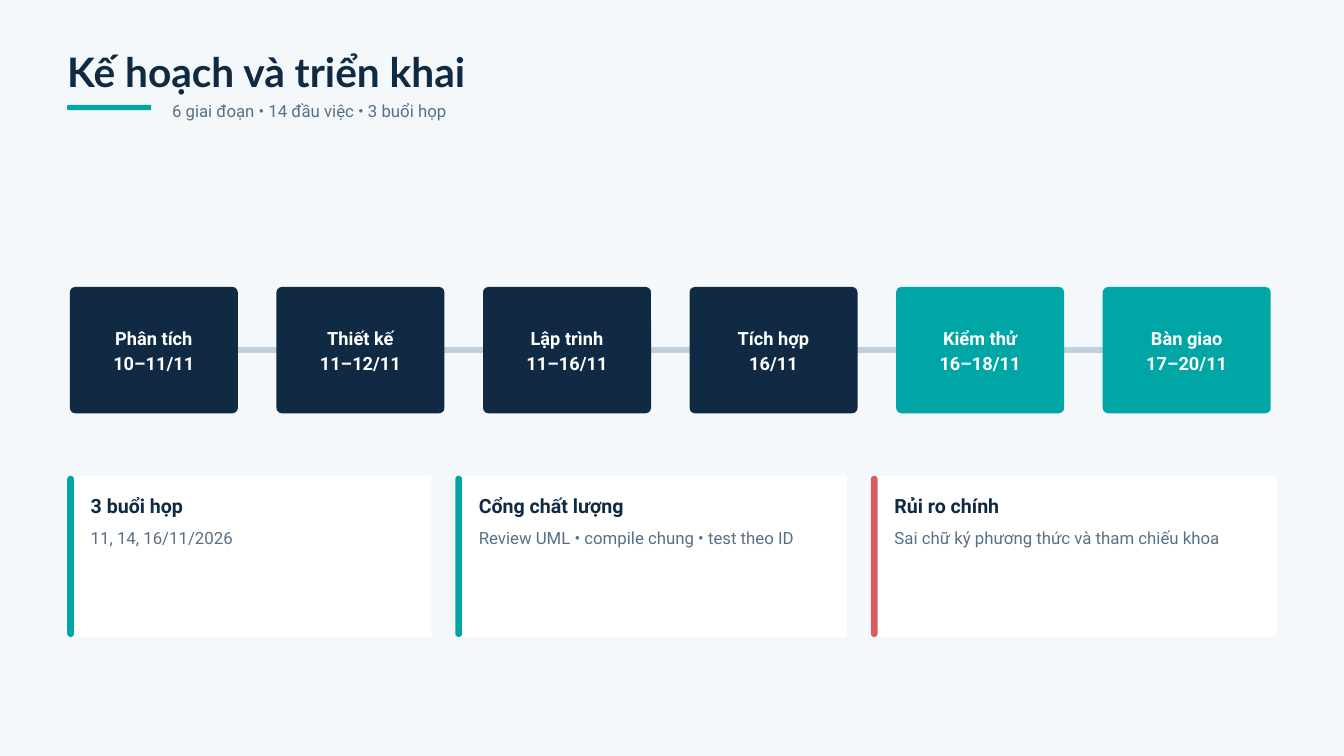
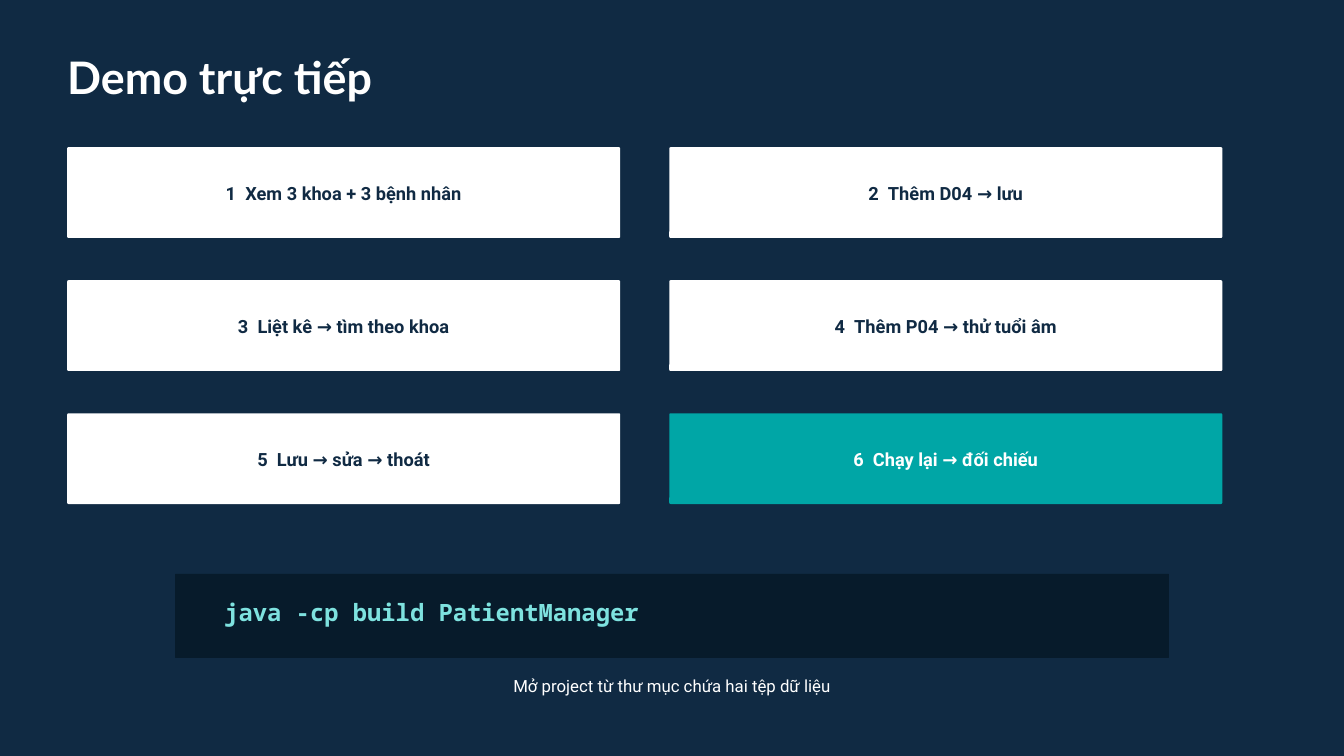
from lxml import etree
from pptx import Presentation
from pptx.dml.color import RGBColor
from pptx.enum.shapes import MSO_CONNECTOR, MSO_SHAPE
from pptx.enum.text import MSO_ANCHOR, MSO_AUTO_SIZE, PP_ALIGN
from pptx.oxml.ns import qn
from pptx.util import Inches, Pt

NAVY = RGBColor(0x10, 0x2A, 0x43)
TEAL = RGBColor(0x00, 0xA6, 0xA6)
RED = RGBColor(0xD9, 0x5D, 0x5D)
SLATE = RGBColor(0x58, 0x70, 0x86)
STEEL = RGBColor(0xBF, 0xD2, 0xDC)
MIST = RGBColor(0xF4, 0xF8, 0xFA)
WHITE = RGBColor(0xFF, 0xFF, 0xFF)
INK = RGBColor(0x07, 0x1B, 0x2B)
AQUA = RGBColor(0x7E, 0xE2, 0xDF)

TITLE_FONT, BODY_FONT, CODE_FONT = "Lato", "Roboto", "Noto Sans Mono"
WIDTH, HEIGHT, MARGIN = 20, 11.25, 1
CONTENT_WIDTH = WIDTH - 2 * MARGIN

PLAN_TITLE = "Kế hoạch và triển khai"
PLAN_SUMMARY = "6 giai đoạn • 14 đầu việc • 3 buổi họp"
PHASES = [
    ("Phân tích", "10–11/11", NAVY),
    ("Thiết kế", "11–12/11", NAVY),
    ("Lập trình", "11–16/11", NAVY),
    ("Tích hợp", "16/11", NAVY),
    ("Kiểm thử", "16–18/11", TEAL),
    ("Bàn giao", "17–20/11", TEAL),
]
CARDS = [
    ("3 buổi họp", "11, 14, 16/11/2026", TEAL, 5.42),
    ("Cổng chất lượng", "Review UML • compile chung • test theo ID", TEAL, 5.83),
    ("Rủi ro chính", "Sai chữ ký phương thức và tham chiếu khoa", RED, 6.04),
]

DEMO_TITLE = "Demo trực tiếp"
DEMO_STEPS = [
    "Xem 3 khoa + 3 bệnh nhân",
    "Thêm D04 → lưu",
    "Liệt kê → tìm theo khoa",
    "Thêm P04 → thử tuổi âm",
    "Lưu → sửa → thoát",
    "Chạy lại → đối chiếu",
]
DEMO_COMMAND = "java -cp build PatientManager"
DEMO_NOTE = "Mở project từ thư mục chứa hai tệp dữ liệu"


def box(left, top, width, height):
    return [Inches(length) for length in (left, top, width, height)]


def set_up_frame(shape, insets=(0, 0, 0, 0), anchor=MSO_ANCHOR.TOP):
    frame = shape.text_frame
    frame.word_wrap = True
    frame.auto_size = MSO_AUTO_SIZE.NONE
    frame.vertical_anchor = anchor
    frame.margin_left, frame.margin_top, frame.margin_right, frame.margin_bottom = map(Inches, insets)
    return frame


def write(frame, lines, size, color, line_height, font=BODY_FONT, bold=False, align=PP_ALIGN.LEFT):
    for index, runs in enumerate(lines):
        paragraph = frame.add_paragraph() if index else frame.paragraphs[0]
        paragraph.alignment = align
        paragraph.line_spacing = Pt(line_height)
        paragraph.space_before = Pt(0)
        for text in runs:
            run = paragraph.add_run()
            run.text = text
            run.font.name = font
            run.font.size = Pt(size)
            run.font.bold = bold
            run.font.color.rgb = color


def add_slide(presentation, title, background, color, size, line_height, area):
    slide = presentation.slides.add_slide(presentation.slide_layouts.get_by_name("Title Only"))
    slide.background.fill.solid()
    slide.background.fill.fore_color.rgb = background
    heading = slide.shapes.title
    heading.left, heading.top, heading.width, heading.height = box(*area)
    write(set_up_frame(heading), [[title]], size, color, line_height, TITLE_FONT, True)
    return slide


def add_text(slide, area, text, size=18, color=SLATE, line_height=22.5, **style):
    frame = set_up_frame(slide.shapes.add_textbox(*box(*area)))
    write(frame, [[text]], size, color, line_height, **style)


def add_panel(slide, area, fill, radius):
    panel = slide.shapes.add_shape(MSO_SHAPE.ROUNDED_RECTANGLE, *box(*area))
    panel.adjustments[0] = radius / min(area[2:])
    panel.shadow.inherit = False
    panel.fill.solid()
    panel.fill.fore_color.rgb = fill
    panel.line.fill.background()
    return panel


def add_label_panel(slide, area, fill, radius, lines, color):
    panel = add_panel(slide, area, fill, radius)
    frame = set_up_frame(panel, (0.06, 0.06, 0.06, 0.09), MSO_ANCHOR.MIDDLE)
    write(frame, lines, 19.5, color, 27.3, bold=True, align=PP_ALIGN.CENTER)
    return panel


def add_timeline(slide):
    left, top, width, height = 1.04, 4.27, 2.5, 1.88
    pitch = (16.41 - left) / (len(PHASES) - 1)
    middle = Inches(top + height / 2)
    track = slide.shapes.add_connector(
        MSO_CONNECTOR.STRAIGHT, Inches(1.56), middle, Inches(WIDTH - 1.56), middle)
    track.line.color.rgb = STEEL
    track.line.width = Pt(6)
    etree.SubElement(track._element.spPr, qn("a:effectLst"))
    for index, (name, dates, fill) in enumerate(PHASES):
        area = (left + index * pitch, top, width, height)
        add_label_panel(slide, area, fill, 0.08, [[name], [dates]], WHITE)


def add_cards(slide):
    top, height, indent = 7.08, 2.4, 0.35
    gap = (CONTENT_WIDTH - sum(card[-1] for card in CARDS)) / (len(CARDS) - 1)
    left = MARGIN
    for heading, detail, accent, width in CARDS:
        text_width = width - 0.66
        add_panel(slide, (left, top, width, height), WHITE, 0.03)
        add_panel(slide, (left, top, 0.1, height), accent, 0.05)
        add_text(slide, (left + indent, top + 0.26, text_width, 0.37), heading,
                 21, NAVY, 26.2, bold=True)
        add_text(slide, (left + indent, top + 0.76, text_width, 0.31), detail)
        left += width + gap


def add_demo_steps(slide):
    columns, width, height = 2, 8.23, 1.35
    column_pitch, row_pitch = 8.96, 1.98
    for index, step in enumerate(DEMO_STEPS):
        row, column = divmod(index, columns)
        is_last = index == len(DEMO_STEPS) - 1
        area = (MARGIN + column * column_pitch, 2.19 + row * row_pitch, width, height)
        panel = add_label_panel(slide, area, TEAL if is_last else WHITE, 0.02,
                                [[str(index + 1), " ", step]], WHITE if is_last else NAVY)
        number_gap = panel.text_frame.paragraphs[0].runs[1]
        number_gap._r.get_or_add_rPr().set("spc", "485")


def build_plan(presentation):
    slide = add_slide(presentation, PLAN_TITLE, MIST, NAVY, 43.5, 54.4, (MARGIN, 0.67, 15.62, 0.74))
    add_panel(slide, (MARGIN, 1.56, 1.25, 0.08), TEAL, 0.02)
    add_text(slide, (2.56, 1.48, 15.62, 0.31), PLAN_SUMMARY)
    add_timeline(slide)
    add_cards(slide)


def build_demo(presentation):
    slide = add_slide(presentation, DEMO_TITLE, NAVY, WHITE, 48, 60, (MARGIN, 0.7, 12.5, 0.83))
    add_demo_steps(slide)
    console_width, note_width = 14.79, 7.5
    console = add_panel(slide, ((WIDTH - console_width) / 2, 8.54, console_width, 1.25), INK, 0.01)
    frame = set_up_frame(console, (0.73, 0.34, 0.73, 0))
    write(frame, [[DEMO_COMMAND]], 25.5, AQUA, 31.9, CODE_FONT, True)
    add_text(slide, ((WIDTH - note_width) / 2, 10.04, note_width, 0.31), DEMO_NOTE,
             color=WHITE, align=PP_ALIGN.CENTER)


def main():
    presentation = Presentation()
    presentation.slide_width = Inches(WIDTH)
    presentation.slide_height = Inches(HEIGHT)
    build_plan(presentation)
    build_demo(presentation)
    presentation.save("out.pptx")


if __name__ == "__main__":
    main()
